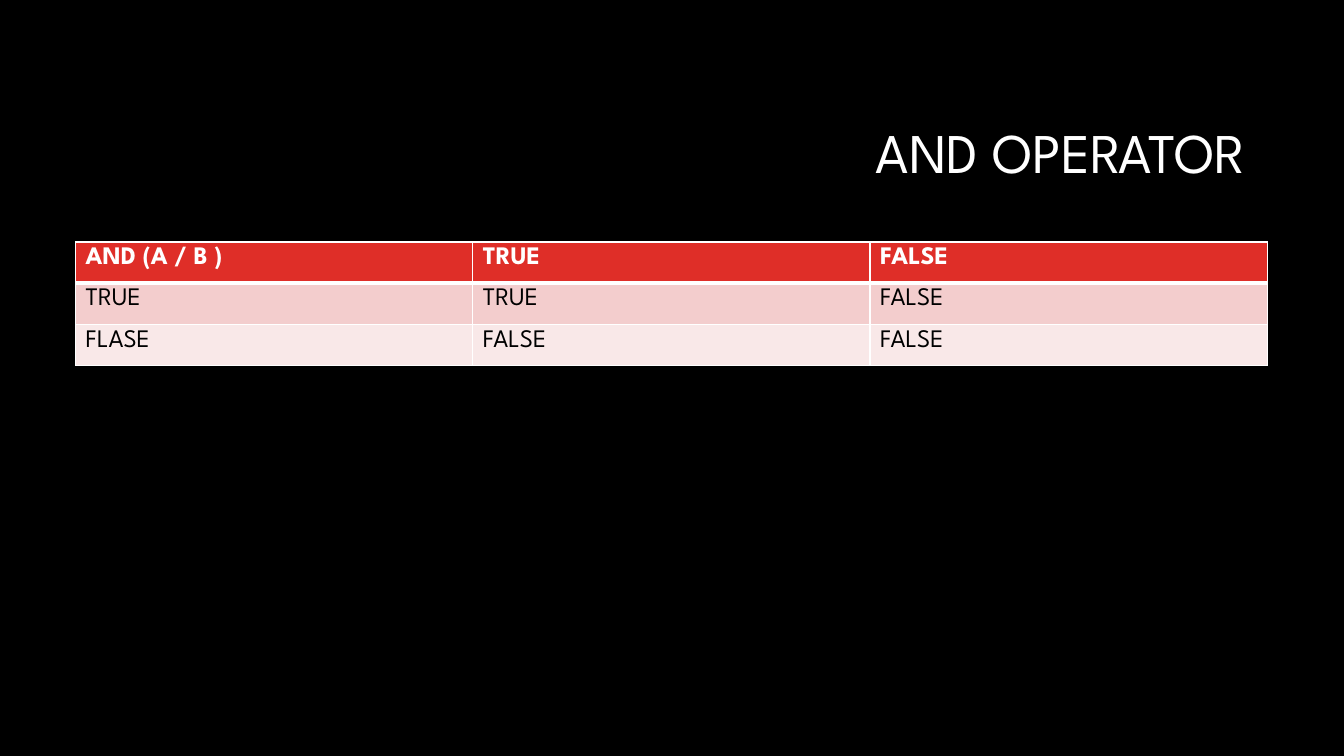
import pptx
import pptx.dml.color
import pptx.enum.text
import pptx.oxml.ns
import pptx.util
from lxml import etree

SLIDE_WIDTH, SLIDE_HEIGHT = 13.33, 7.5
FONT = "League Spartan"
WHITE, BLACK = "FFFFFF", "000000"

TITLE = "AND OPERATOR "
TRUTH_TABLE = [
    ("AND (A / B )", "TRUE", "FALSE"),
    ("TRUE", "TRUE", "FALSE"),
    ("FLASE", "FALSE", "FALSE"),
]
ROW_FILLS = ["DF2E28", "F3CDCD", "F9E8E8"]
TABLE_LEFT, TABLE_TOP = 0.75, 2.4
COLUMN_WIDTH, ROW_HEIGHT = 3.94, 0.41
THIN, THICK = 1, 3


def color(value):
    return pptx.dml.color.RGBColor.from_string(value)


def write(frame, text, size, font_color, bold=False, align=None, line_spacing=None):
    paragraph = frame.paragraphs[0]
    paragraph.alignment = align
    paragraph.line_spacing = line_spacing
    run = paragraph.add_run()
    run.text = text
    run.font.name = FONT
    run.font.size = pptx.util.Pt(size)
    run.font.bold = bold
    run.font.color.rgb = color(font_color)


def set_borders(cell, **widths):
    """Draw white cell borders; widths in points are keyed by side L, R, T, B."""
    properties = cell._tc.get_or_add_tcPr()
    for position, (side, width) in enumerate(widths.items()):
        line = etree.Element(pptx.oxml.ns.qn(f"a:ln{side}"), w=str(pptx.util.Pt(width)))
        fill = etree.SubElement(line, pptx.oxml.ns.qn("a:solidFill"))
        etree.SubElement(fill, pptx.oxml.ns.qn("a:srgbClr"), val=WHITE)
        properties.insert(position, line)


def add_title(slide):
    box = slide.shapes.add_textbox(*map(pptx.util.Inches, (3.17, 0.84, 9.42, 1.41)))
    frame = box.text_frame
    frame.word_wrap = True
    frame.vertical_anchor = pptx.enum.text.MSO_ANCHOR.MIDDLE
    write(frame, TITLE, 40, WHITE, align=pptx.enum.text.PP_ALIGN.RIGHT, line_spacing=0.9)


def add_truth_table(slide):
    row_count, column_count = len(TRUTH_TABLE), len(TRUTH_TABLE[0])
    place = (TABLE_LEFT, TABLE_TOP, COLUMN_WIDTH * column_count, ROW_HEIGHT * row_count)
    table = slide.shapes.add_table(
        row_count, column_count, *map(pptx.util.Inches, place)
    ).table
    for row, texts in enumerate(TRUTH_TABLE):
        header = row == 0
        for column, text in enumerate(texts):
            cell = table.cell(row, column)
            cell.fill.solid()
            cell.fill.fore_color.rgb = color(ROW_FILLS[row])
            write(cell.text_frame, text, 18, WHITE if header else BLACK, bold=header)
            set_borders(cell, L=THIN, R=THIN, T=THICK if row == 1 else THIN,
                        B=THICK if header else THIN)


def main():
    presentation = pptx.Presentation()
    presentation.slide_width = pptx.util.Inches(SLIDE_WIDTH)
    presentation.slide_height = pptx.util.Inches(SLIDE_HEIGHT)
    slide = presentation.slides.add_slide(presentation.slide_layouts[6])
    slide.background.fill.solid()
    slide.background.fill.fore_color.rgb = color(BLACK)
    add_title(slide)
    add_truth_table(slide)
    presentation.save("out.pptx")


if __name__ == "__main__":
    main()
